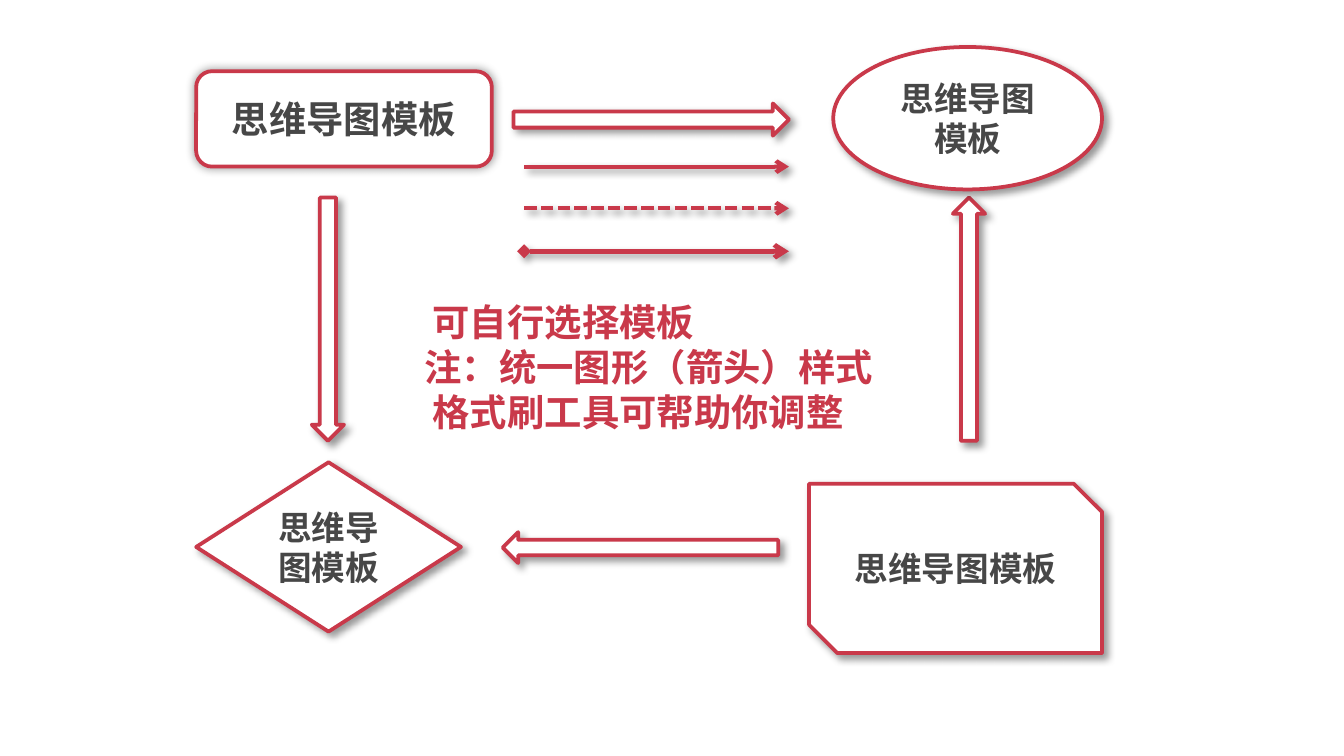
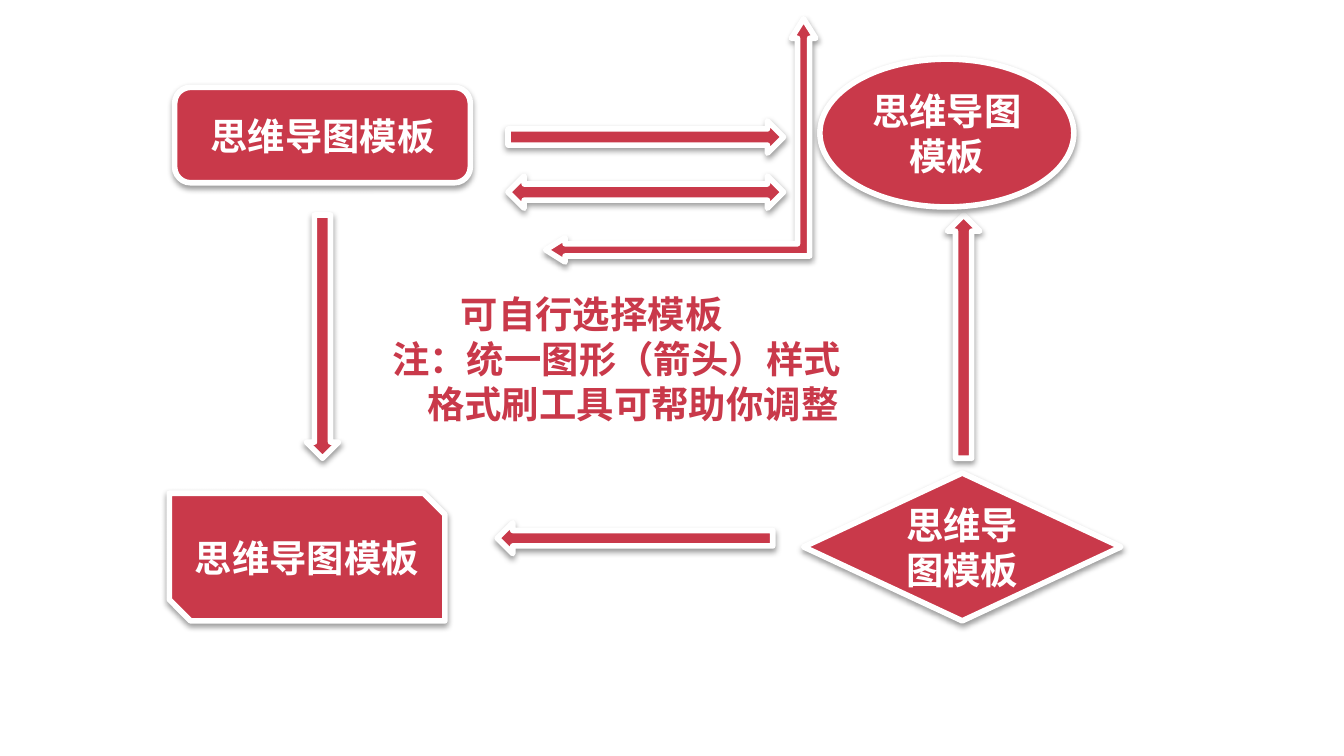
from dataclasses import dataclass

import lxml.etree
import pptx
import pptx.dml.color
import pptx.enum.dml
import pptx.enum.shapes
import pptx.enum.text
import pptx.oxml.ns
import pptx.util

Inches = pptx.util.Inches
Pt = pptx.util.Pt
ShapeType = pptx.enum.shapes.MSO_SHAPE
qualified = pptx.oxml.ns.qn


@dataclass(frozen=True)
class Shadow:
    opacity: int     # percent
    blur: float      # points
    distance: float  # points
    angle: int       # degrees


@dataclass(frozen=True)
class Look:
    fill: str
    line: str
    line_width: float
    text: str
    shadow: Shadow


class Theme:
    red, white, grey, black = "C9394A", "FFFFFF", "474747", "000000"
    font = "Noto Sans CJK SC"
    large, medium = 20, 18
    glow = Shadow(40, 5, 0, 0)
    outlined = Look(white, red, 2, grey, Shadow(40, 4, 3, 45))
    solid = Look(red, white, 3, white, Shadow(38, 3.1, 1.6, 90))


def color(value):
    return pptx.dml.color.RGBColor.from_string(value)


class Diagram:
    """Holds one look and the slide that is being drawn."""

    def __init__(self, presentation, look):
        self.look = look
        self.slide = presentation.slides.add_slide(presentation.slide_layouts[6])

    def add_shadow(self, shape, shadow):
        properties = shape._element.spPr
        for old in properties.findall(qualified("a:effectLst")):
            properties.remove(old)
        effects = lxml.etree.SubElement(properties, qualified("a:effectLst"))
        outer = lxml.etree.SubElement(
            effects, qualified("a:outerShdw"),
            blurRad=str(Pt(shadow.blur)), dist=str(Pt(shadow.distance)),
            dir=str(shadow.angle * 60000), algn="ctr", rotWithShape="0")
        tint = lxml.etree.SubElement(outer, qualified("a:srgbClr"), val=Theme.black)
        lxml.etree.SubElement(tint, qualified("a:alpha"), val=str(shadow.opacity * 1000))

    def format_runs(self, paragraph, size, text_color):
        for run in paragraph.runs:
            run.font.size = Pt(size)
            run.font.bold = True
            run.font.name = Theme.font
            run.font.color.rgb = color(text_color)
            lxml.etree.SubElement(run.font._element, qualified("a:ea"),
                                  typeface=Theme.font)

    def block(self, kind, left, top, width, height, adjustments=(), shadow=None):
        shape = self.slide.shapes.add_shape(
            kind, Inches(left), Inches(top), Inches(width), Inches(height))
        for index, value in enumerate(adjustments):
            shape.adjustments[index] = value
        shape.fill.solid()
        shape.fill.fore_color.rgb = color(self.look.fill)
        shape.line.color.rgb = color(self.look.line)
        shape.line.width = Pt(self.look.line_width)
        self.add_shadow(shape, shadow or self.look.shadow)
        return shape

    def node(self, kind, left, top, width, height, size=Theme.large, shadow=None):
        shape = self.block(kind, left, top, width, height, shadow=shadow)
        frame = shape.text_frame
        frame.text = "思维导图模板"
        frame.word_wrap = True
        frame.vertical_anchor = pptx.enum.text.MSO_ANCHOR.MIDDLE
        paragraph = frame.paragraphs[0]
        paragraph.alignment = pptx.enum.text.PP_ALIGN.CENTER
        self.format_runs(paragraph, size, self.look.text)

    def flow_arrows(self, left, top, bottom_row):
        """Four block arrows, placed from the corner of the left column."""
        self.block(ShapeType.RIGHT_ARROW, left + 1.5, top - 0.7, 2.05, 0.24)
        self.block(ShapeType.DOWN_ARROW, left, top, 0.24, 1.81)
        self.block(ShapeType.UP_ARROW, left + 4.77, top, 0.24, 1.81)
        self.block(ShapeType.LEFT_ARROW, left + 1.42, bottom_row, 2.05, 0.23)

    def line_arrow(self, top, width=2.25, dash=None, head=None):
        connector = self.slide.shapes.add_connector(
            pptx.enum.shapes.MSO_CONNECTOR.STRAIGHT,
            Inches(3.9), Inches(top), Inches(5.87), Inches(top))
        connector.line.color.rgb = color(Theme.red)
        connector.line.width = Pt(width)
        if dash:
            connector.line.dash_style = dash
        line = connector.line._get_or_add_ln()
        if head:
            lxml.etree.SubElement(line, qualified("a:headEnd"), type=head)
        lxml.etree.SubElement(line, qualified("a:tailEnd"), type="arrow")
        self.add_shadow(connector, self.look.shadow)

    def note(self, left, top, width, indents, wrap):
        box = self.slide.shapes.add_textbox(
            Inches(left), Inches(top), Inches(width), Inches(1.11))
        frame = box.text_frame
        frame.word_wrap = wrap
        frame.auto_size = pptx.enum.text.MSO_AUTO_SIZE.SHAPE_TO_FIT_TEXT
        frame.text = "可自行选择模板\n注：统一图形（箭头）样式\n格式刷工具可帮助你调整"
        for paragraph, indent in zip(frame.paragraphs, indents):
            paragraph._p.get_or_add_pPr().set("marL", str(Inches(indent)))
            self.format_runs(paragraph, Theme.large, Theme.red)


# A 16:9 page
presentation = pptx.Presentation()
presentation.slide_width = Inches(10)
presentation.slide_height = Inches(10 * 9 / 16)

# Slide 1: outlined shapes and line arrows
diagram = Diagram(presentation, Theme.outlined)
diagram.flow_arrows(2.32, 1.47, bottom_row=3.96)
diagram.node(ShapeType.ROUNDED_RECTANGLE, 1.46, 0.53, 2.2, 0.71, shadow=Theme.glow)
diagram.line_arrow(1.24)
diagram.node(ShapeType.OVAL, 6.2, 0.35, 2, 1.06, Theme.medium)
diagram.node(ShapeType.SNIP_2_DIAG_RECTANGLE, 6.02, 3.6, 2.18, 1.26, Theme.medium)
diagram.node(ShapeType.DIAMOND, 1.46, 3.44, 1.97, 1.26, Theme.medium)
diagram.line_arrow(1.55, dash=pptx.enum.dml.MSO_LINE.SQUARE_DOT)
diagram.line_arrow(1.87, width=2.5, head="diamond")
diagram.note(3.06, 2.18, 3.57, (0.06, 0, 0.06), wrap=False)

# Slide 2: solid shapes and block arrows
diagram = Diagram(presentation, Theme.solid)
diagram.node(ShapeType.ROUNDED_RECTANGLE, 1.3, 0.65, 2.2, 0.71)
diagram.flow_arrows(2.28, 1.6, bottom_row=3.89)
diagram.node(ShapeType.SNIP_2_DIAG_RECTANGLE, 1.26, 3.67, 2.05, 0.95)
diagram.node(ShapeType.OVAL, 6.1, 0.44, 1.89, 1.1)
diagram.node(ShapeType.DIAMOND, 5.98, 3.52, 2.36, 1.1)
diagram.block(ShapeType.LEFT_RIGHT_ARROW, 3.78, 1.31, 2.05, 0.24)
diagram.note(2.82, 2.12, 4.03, (0.51, 0, 0.26), wrap=True)
diagram.block(ShapeType.LEFT_UP_ARROW, 4.06, 0.14, 2.01, 1.81, (0.05, 0.05, 0.08))

presentation.save("out.pptx")
